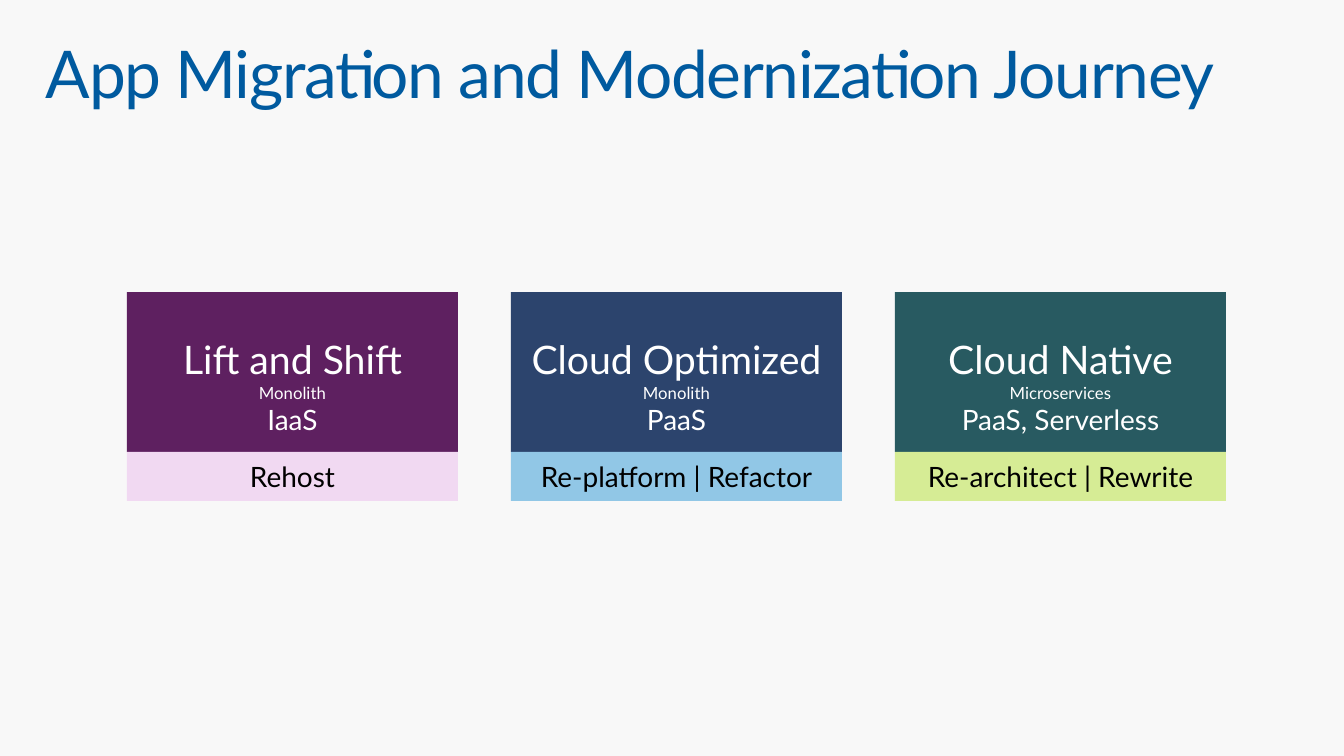
from pptx import Presentation
from pptx.dml.color import RGBColor
from pptx.enum.shapes import MSO_SHAPE
from pptx.enum.text import MSO_ANCHOR, MSO_AUTO_SIZE, PP_ALIGN
from pptx.util import Pt

BACKGROUND = RGBColor(0xF8, 0xF8, 0xF8)
BLUE = RGBColor(0x00, 0x5A, 0x9F)
WHITE = RGBColor(0xFF, 0xFF, 0xFF)
BLACK = RGBColor(0x00, 0x00, 0x00)
PURPLE = RGBColor(0x5E, 0x20, 0x60)
LILAC = RGBColor(0xF1, 0xD9, 0xF2)
NAVY = RGBColor(0x2C, 0x44, 0x6D)
SKY = RGBColor(0x91, 0xC7, 0xE6)
TEAL = RGBColor(0x28, 0x5A, 0x61)
LIME = RGBColor(0xD6, 0xEC, 0x95)
FONT = "Lato"

# Content: stage, architecture, platform, approach, card colour, strip colour
TITLE = "App Migration and Modernization Journey"
STAGES = [
    ("Lift and Shift", "Monolith", "IaaS", "Rehost", PURPLE, LILAC),
    ("Cloud Optimized", "Monolith", "PaaS", "Re-platform | Refactor", NAVY, SKY),
    ("Cloud Native", "Microservices", "PaaS, Serverless",
     "Re-architect | Rewrite", TEAL, LIME),
]
CARD_SIZES = (28.6, 12.2, 20.4)
STRIP_SIZES = (20.4,)

# Layout in px
SLIDE_W, SLIDE_H = 1344, 756
LEFT, TOP, PITCH = 127, 292, 384
CARD_W, CARD_H, STRIP_H = 331, 160, 49


def px(n):
    return round(n * 914400 / 98.8)


def set_frame(tf, anchor, side, end):
    tf.word_wrap = True
    tf.auto_size = MSO_AUTO_SIZE.NONE
    tf.vertical_anchor = anchor
    tf.margin_left = tf.margin_right = px(side)
    tf.margin_top = tf.margin_bottom = px(end)


def style(p, size, color):
    p.font.name = FONT
    p.font.size = Pt(size)
    p.font.color.rgb = color


def add_block(group, x, y, h, fill, lines, sizes, color, anchor):
    sp = group.shapes.add_shape(MSO_SHAPE.RECTANGLE, px(x), px(y), px(CARD_W), px(h))
    sp.shadow.inherit = False
    sp.fill.solid()
    sp.fill.fore_color.rgb = fill
    sp.line.fill.background()
    tf = sp.text_frame
    set_frame(tf, anchor, 20, 16)
    tf.text = "\n".join(lines)
    for p, size in zip(tf.paragraphs, sizes):
        p.alignment = PP_ALIGN.CENTER
        style(p, size, color)


prs = Presentation()
prs.slide_width, prs.slide_height = px(SLIDE_W), px(SLIDE_H)
s = prs.slides.add_slide(prs.slide_layouts[5])
s.background.fill.solid()
s.background.fill.fore_color.rgb = BACKGROUND

# Title
title = s.shapes.title
title.left, title.top, title.width, title.height = px(30), px(32), px(1284), px(99)
set_frame(title.text_frame, MSO_ANCHOR.TOP, 16, 10)
p = title.text_frame.paragraphs[0]
r = p.add_run()
r.text = TITLE
p.alignment = PP_ALIGN.LEFT
p.line_spacing = 0.9
style(p, 48, BLUE)
r.font._element.set("spc", "-100")  # letter spacing of -1 pt

# One group per stage: card above, approach strip below
for i, (stage, architecture, platform, approach, dark, light) in enumerate(STAGES):
    group = s.shapes.add_group_shape()
    x = LEFT + i * PITCH
    add_block(group, x, TOP, CARD_H, dark, (stage, architecture, platform),
              CARD_SIZES, WHITE, MSO_ANCHOR.BOTTOM)
    add_block(group, x, TOP + CARD_H, STRIP_H, light, (approach,),
              STRIP_SIZES, BLACK, MSO_ANCHOR.MIDDLE)

prs.save("out.pptx")
